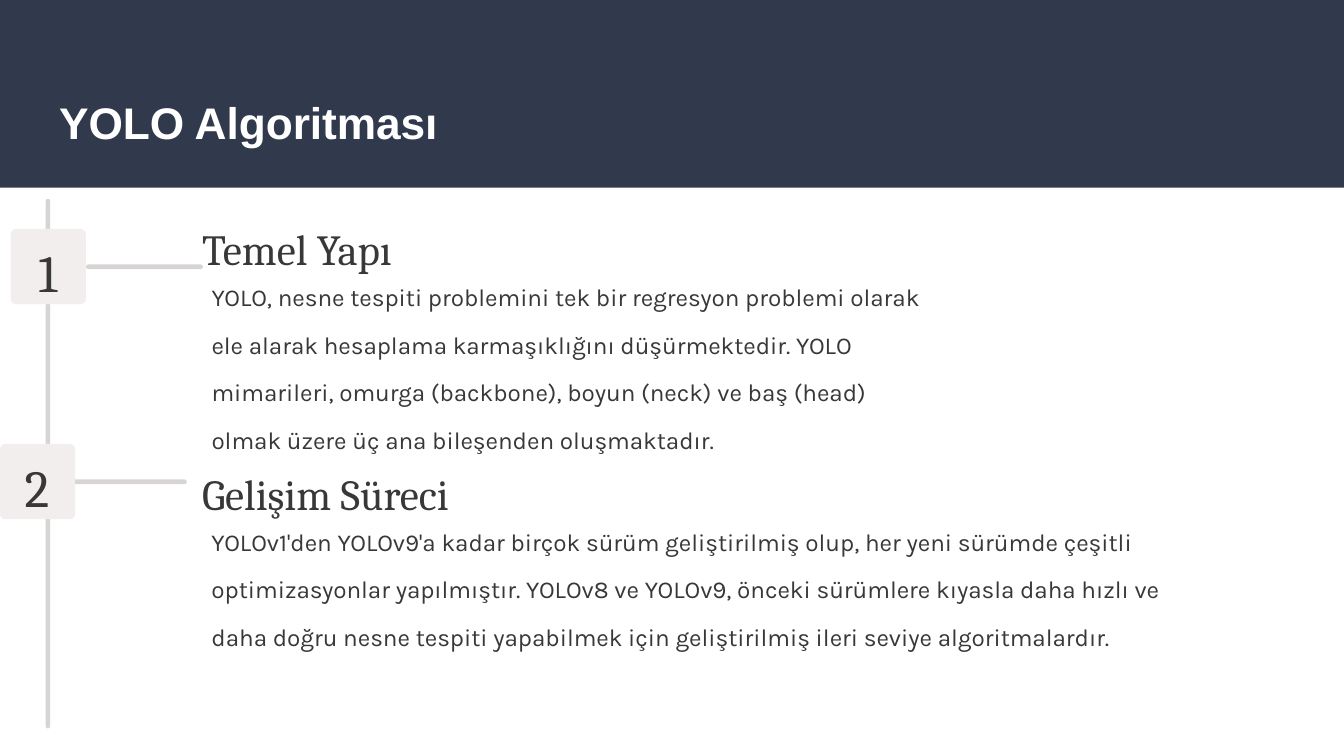
from typing import NamedTuple

from pptx import Presentation
from pptx.dml.color import RGBColor
from pptx.enum.shapes import MSO_SHAPE
from pptx.enum.text import MSO_ANCHOR, PP_ALIGN
from pptx.util import Inches, Pt

RECT, ROUND = MSO_SHAPE.RECTANGLE, MSO_SHAPE.ROUNDED_RECTANGLE
TOP = MSO_ANCHOR.TOP
LEFT, CENTER = PP_ALIGN.LEFT, PP_ALIGN.CENTER

COLS, ROWS = 100, 56.25
CELL = Inches(0.1)
NAVY, WHITE, GREY, PALE, INK = "31394D", "FFFFFF", "D8D4D4", "F2EEEE", "383838"
TAG, THIN = 5.6, 0.34  # tag side and line width, in grid cells


class Box(NamedTuple):
    """Left, top, width and height in grid cells."""
    x: float
    y: float
    w: float
    h: float


class Style(NamedTuple):
    font: dict
    line: float = 1.0
    align: int = LEFT
    inset: float = 0


class Step(NamedTuple):
    num: str
    tag: tuple
    bar: float
    head: str
    top: float
    text: str
    size: tuple


TITLE = Style({"name": "Arial", "size": Pt(23.7), "bold": True}, 1.15, inset=1)
NUM = Style({"name": "Cambria", "size": Pt(28)}, align=CENTER)
HEAD = Style({"name": "Cambria", "size": Pt(23)}, 1.26)
BODY = Style({"name": "Karla", "size": Pt(13)}, 1.63)

STEPS = [
    Step("1", (0.8, 17.04), 6.4, "Temel Yapı", 15.6,
         "YOLO, nesne tespiti problemini tek bir regresyon problemi olarak ele alarak "
         "hesaplama karmaşıklığını düşürmektedir. YOLO mimarileri, omurga (backbone), "
         "boyun (neck) ve baş (head) olmak üzere üç ana bileşenden oluşmaktadır.",
         (53.9, 16.4)),
    Step("2", (0, 33.04), 5.2, "Gelişim Süreci", 33.8,
         "YOLOv1'den YOLOv9'a kadar birçok sürüm geliştirilmiş olup, her yeni sürümde "
         "çeşitli optimizasyonlar yapılmıştır. YOLOv8 ve YOLOv9, önceki sürümlere kıyasla "
         "daha hızlı ve daha doğru nesne tespiti yapabilmek için geliştirilmiş ileri "
         "seviye algoritmalardır.",
         (73, 16.8)),
]


def color(code: str) -> RGBColor:
    return RGBColor.from_string(code)


def cells(box: Box) -> list[int]:
    return [round(n * CELL) for n in box]


def block(slide, box: Box, fill: str, kind=RECT, curve: float = 0):
    shape = slide.shapes.add_shape(kind, *cells(box))
    shape.shadow.inherit = False
    shape.fill.solid()
    shape.fill.fore_color.rgb = color(fill)
    shape.line.fill.background()
    if kind == ROUND:
        shape.adjustments[0] = curve
    return shape


def write(shape, text: str, style: Style, ink: str = INK) -> None:
    frame = shape.text_frame
    frame.text = text
    frame.word_wrap = True
    frame.vertical_anchor = TOP
    for side in ("left", "top", "right", "bottom"):
        setattr(frame, f"margin_{side}", round(style.inset * CELL))
    para = frame.paragraphs[0]
    para.alignment = style.align
    para.line_spacing = style.line
    font = para.runs[0].font
    for key, value in style.font.items():
        setattr(font, key, value)
    font.color.rgb = color(ink)


def label(slide, box: Box, text: str, style: Style) -> None:
    write(slide.shapes.add_textbox(*cells(box)), text, style)


def draw(slide, step: Step) -> None:
    x, y = step.tag
    block(slide, Box(step.bar, y + 2.64, 8.7, THIN), GREY, ROUND, 0.5)
    block(slide, Box(x, y, TAG, TAG), PALE, ROUND, 0.07)
    label(slide, Box(x + 1.7, y + 0.86, 2.1, 3.9), step.num, NUM)
    label(slide, Box(15.04, step.top, 32.6, 4.1), step.head, HEAD)
    label(slide, Box(15.74, step.top + 4.04, *step.size), step.text, BODY)


def main() -> None:
    deck = Presentation()
    deck.slide_width, deck.slide_height = round(COLS * CELL), round(ROWS * CELL)
    slide = deck.slides.add_slide(deck.slide_layouts[5])

    title = slide.shapes.title
    title.left, title.top, title.width, title.height = cells(Box(3.4, 5.5, 93.2, 6.8))
    write(title, "YOLO Algoritması", TITLE, WHITE)
    band = block(slide, Box(0, 0, COLS, 13.96), NAVY)
    title.element.addprevious(band.element)

    block(slide, Box(3.4, 14.8, THIN, 39.4), GREY, ROUND, 0.5)
    for step in STEPS:
        draw(slide, step)
    deck.save("out.pptx")


if __name__ == "__main__":
    main()
